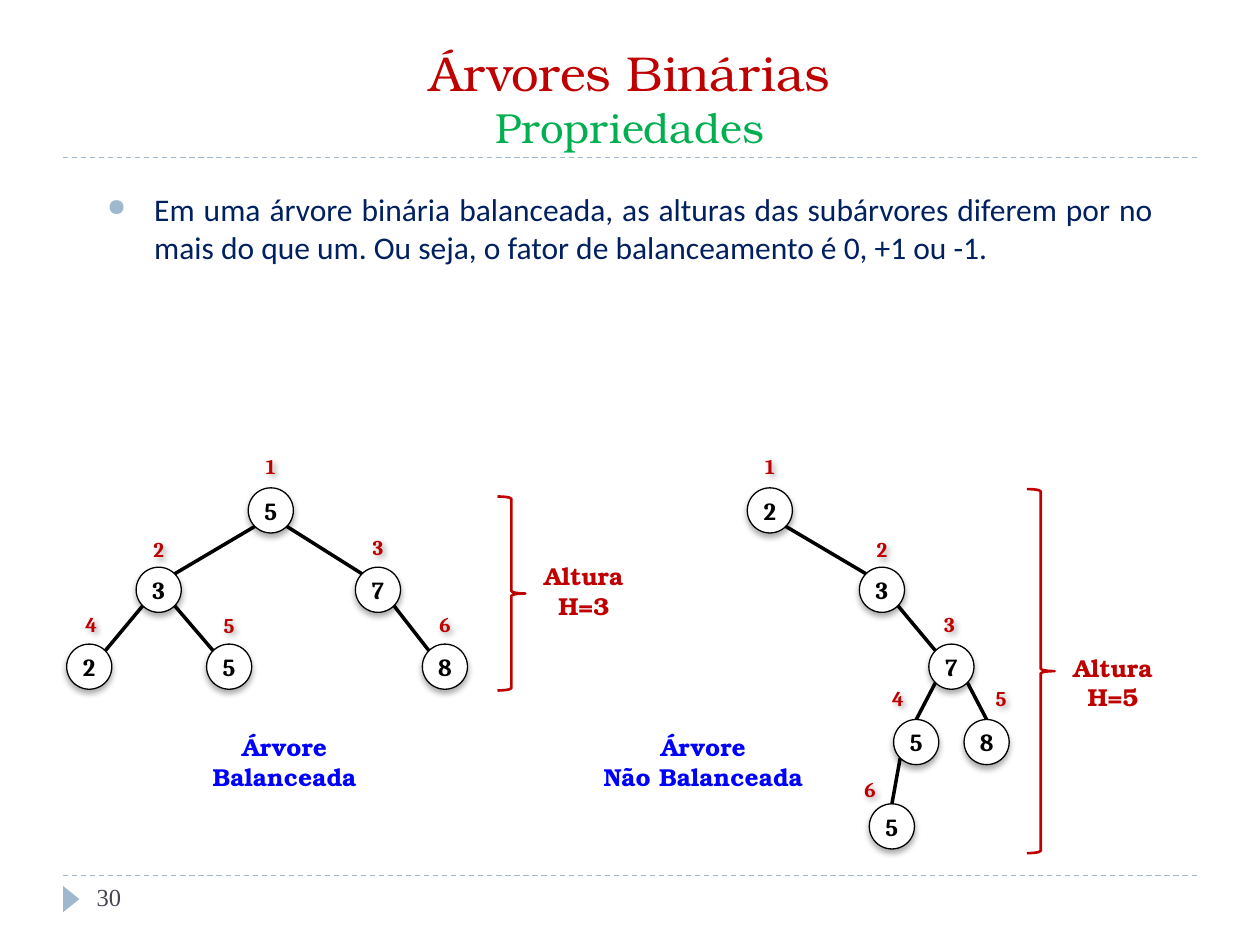
from lxml.etree import SubElement
from pptx import Presentation
from pptx.dml.color import RGBColor
from pptx.enum.dml import MSO_LINE
from pptx.enum.shapes import MSO_CONNECTOR, MSO_SHAPE
from pptx.enum.text import MSO_ANCHOR, PP_ALIGN
from pptx.oxml.ns import qn
from pptx.util import Cm, Pt

RED = RGBColor(0xC0, 0x00, 0x00)
GREEN = RGBColor(0x00, 0xB0, 0x50)
NAVY = RGBColor(0x00, 0x20, 0x60)
BLUE = RGBColor(0x00, 0x00, 0xFF)
STEEL = RGBColor(0x9F, 0xB8, 0xCD)
SLATE = RGBColor(0x46, 0x46, 0x53)
BLACK = RGBColor(0, 0, 0)
WHITE = RGBColor(255, 255, 255)
SERIF = "TeX Gyre Bonum"
SIZE = 0.91  # node diameter
DIAG = SIZE / 2 * 0.71  # reach of a node's outline at 45 degrees
STEEP = 1.1  # nearer children are joined at their top

# Node: value, centre x, centre y, parent index, number, number's offset
EVEN = [
    ("5", 4.19, 1.27, None, "1", 0, -0.89),
    ("3", 1.93, 2.87, 0, "2", 0, -0.81),
    ("7", 6.35, 2.87, 0, "3", 0, -0.86),
    ("2", 0.53, 4.42, 1, "4", 0.04, -0.86),
    ("5", 3.35, 4.42, 1, "5", 0, -0.84),
    ("8", 7.70, 4.42, 2, "6", 0, -0.86),
]
UNEVEN = [
    ("2", 0.52, 1.27, None, "1", 0, -0.89),
    ("3", 2.78, 2.87, 0, "2", 0, -0.81),
    ("7", 4.18, 4.42, 1, "3", -0.04, -0.86),
    ("5", 3.47, 5.94, 2, "4", -0.37, -0.89),
    ("8", 4.89, 5.94, 2, "5", 0.29, -0.89),
    ("5", 2.98, 7.64, 3, "6", -0.44, -0.76),
]


def style(font, face, size, color, bold=False):
    font.name, font.size, font.bold = face, Pt(size), bold
    font.color.rgb = color


def write(shape, *lines, face=SERIF, size=14, color=BLACK, bold=False,
          align=PP_ALIGN.CENTER, anchor=MSO_ANCHOR.MIDDLE, inset=True):
    """Fill the shape with one paragraph per line and return the first."""
    frame = shape.text_frame
    frame.word_wrap = True
    frame.vertical_anchor = anchor
    if not inset:
        frame.margin_left = frame.margin_right = 0
        frame.margin_top = frame.margin_bottom = 0
    for i, line in enumerate(lines):
        para = frame.add_paragraph() if i else frame.paragraphs[0]
        para.alignment = align
        run = para.add_run()
        run.text = line
        style(run.font, face, size, color, bold)
    return frame.paragraphs[0]


def box(slide, x, y, w, h):
    return slide.shapes.add_textbox(Cm(x), Cm(y), Cm(w), Cm(h))


def form(slide, kind, x, y, w, h):
    shape = slide.shapes.add_shape(kind, Cm(x), Cm(y), Cm(w), Cm(h))
    shape.shadow.inherit = False
    return shape


def rule(slide, x1, y1, x2, y2, color=BLACK, width=2):
    link = slide.shapes.add_connector(
        MSO_CONNECTOR.STRAIGHT, Cm(x1), Cm(y1), Cm(x2), Cm(y2))
    link.line.color.rgb = color
    link.line.width = Pt(width)
    SubElement(link._element.spPr, qn("a:effectLst"))
    return link


def shade(shape, angle):
    props = shape._element.spPr
    list_ = props.find(qn("a:effectLst"))
    if list_ is None:
        list_ = SubElement(props, qn("a:effectLst"))
    drop = SubElement(list_, qn("a:outerShdw"), blurRad=str(Pt(3.5)),
                      dist=str(Pt(2.2)), dir=str(angle * 60000), rotWithShape="0")
    tint = SubElement(drop, qn("a:srgbClr"), val=str(BLACK))
    SubElement(tint, qn("a:alpha"), val="32000")


def edge(slide, x, y, top, node):
    side = 1 if node[1] > top[1] else -1
    if abs(node[1] - top[1]) < STEEP:
        dx, dy = 0, SIZE / 2
    else:
        dx, dy = side * DIAG, DIAG
    rule(slide, x + top[1] + side * DIAG, y + top[2] + DIAG,
         x + node[1] - dx, y + node[2] - dy)


def knot(slide, x, y, value, number, dx, dy):
    """Draw a node centred at x, y with its number beside it."""
    disc = form(slide, MSO_SHAPE.OVAL, x - SIZE / 2, y - SIZE / 2, SIZE, SIZE)
    disc.fill.solid()
    disc.fill.fore_color.rgb = WHITE
    disc.line.color.rgb = BLACK
    disc.line.width = Pt(0.75)
    shade(disc, 90)
    write(disc, value, face="Cambria", bold=True, inset=False)
    tag = box(slide, x + dx - 0.52, y + dy - 0.38, 1.04, 0.76)
    shade(tag, 45)
    write(tag, number, face="Cambria", size=12, color=RED, bold=True)


def tree(slide, x, y, nodes):
    for node in nodes:
        if node[3] is not None:
            edge(slide, x, y, nodes[node[3]], node)
    for value, cx, cy, _, number, dx, dy in nodes:
        knot(slide, x + cx, y + cy, value, number, dx, dy)


def span(slide, x, y, h, drop, height):
    """Draw a brace of height h and, drop below its top, the tree's height."""
    brace = form(slide, MSO_SHAPE.RIGHT_BRACE, x, y, 0.56, h)
    brace.fill.background()
    brace.line.color.rgb = RED
    brace.line.width = Pt(1.5)
    write(box(slide, x + 0.56, y + drop, 2.36, 1.45), "Altura", height,
          color=RED, bold=True)


def head(slide, x, y, w, h):
    para = write(box(slide, x, y, w, h), "Árvores Binárias", size=28,
                 color=RED, anchor=MSO_ANCHOR.BOTTOM)
    para.add_line_break()
    run = para.add_run()
    run.text = "Propriedades"
    style(run.font, SERIF, 24, GREEN)
    rule(slide, x, y + h, x + w, y + h, STEEL, 0.75).line.dash_style = MSO_LINE.DASH


def body(slide, x, y, w, h):
    para = write(
        box(slide, x, y, w, h),
        "Em uma árvore binária balanceada, as alturas das subárvores diferem por "
        "no mais do que um. Ou seja, o fator de balanceamento é 0, +1 ou -1.",
        face="Calibri", size=18, color=NAVY, align=PP_ALIGN.JUSTIFY,
        anchor=MSO_ANCHOR.TOP)
    props = para._p.get_or_add_pPr()
    props.set("marL", str(Cm(0.95)))
    props.set("indent", str(-Cm(0.95)))
    SubElement(SubElement(props, qn("a:buClr")), qn("a:srgbClr"), val=str(STEEL))
    SubElement(props, qn("a:buSzPct"), val="76000")
    SubElement(props, qn("a:buChar"), char="●")


def foot(slide, x, y, w):
    rule(slide, x, y, x + w, y, STEEL, 0.75).line.dash_style = MSO_LINE.DASH
    mark = form(slide, MSO_SHAPE.ISOSCELES_TRIANGLE, x - 0.1, y + 0.31, 0.53, 0.33)
    mark.rotation = 90
    mark.fill.solid()
    mark.fill.fore_color.rgb = STEEL
    mark.line.fill.background()
    write(box(slide, x + 0.43, y, 5.51, 1.02), "30", face="Times New Roman",
          color=SLATE, align=PP_ALIGN.LEFT, anchor=MSO_ANCHOR.TOP)


def main():
    deck = Presentation()
    deck.slide_width, deck.slide_height = Cm(25.4), Cm(19.05)
    slide = deck.slides.add_slide(deck.slide_layouts[6])
    head(slide, 1.27, 0.64, 22.86, 2.54)
    body(slide, 1.91, 3.71, 21.59, 2.11)
    tree(slide, 1.27, 9.02, EVEN)
    span(slide, 10.03, 10.01, 3.91, 1.17, "H=3")
    tree(slide, 15, 9.02, UNEVEN)
    span(slide, 20.7, 9.86, 7.34, 3.17, "H=5")
    for x, w, name in ((3.63, 4.22, "Balanceada"), (11.73, 4.9, "Não Balanceada")):
        write(box(slide, x, 14.63, w, 1.45), "Árvore", name, color=BLUE, bold=True)
    foot(slide, 1.27, 17.65, 22.86)
    deck.save("out.pptx")


if __name__ == "__main__":
    main()
